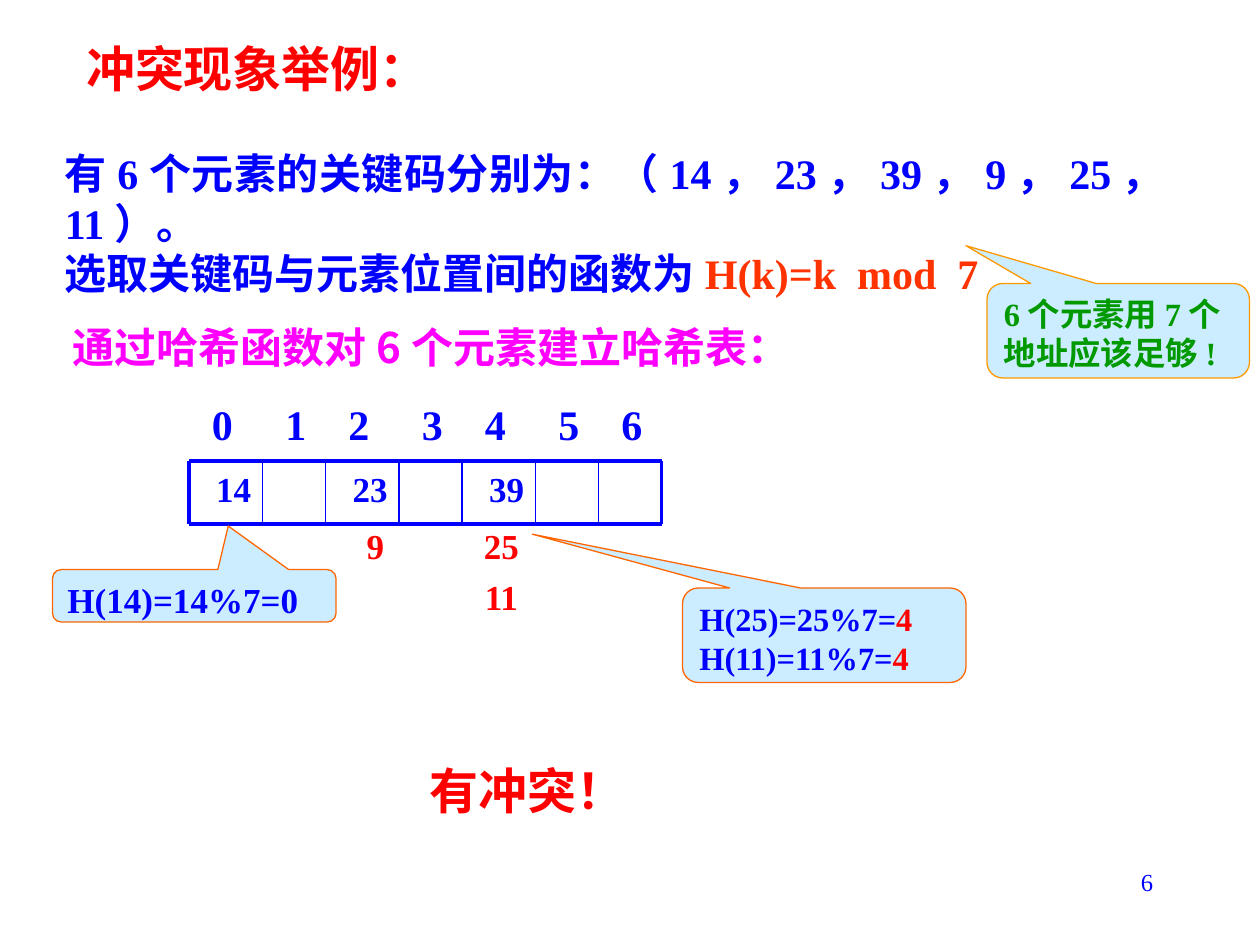
from itertools import accumulate

from lxml.etree import SubElement
from pptx import Presentation
from pptx.dml.color import RGBColor
from pptx.enum.shapes import MSO_CONNECTOR, MSO_SHAPE
from pptx.enum.text import MSO_ANCHOR, MSO_AUTO_SIZE, PP_ALIGN as Align
from pptx.oxml.ns import qn
from pptx.util import Pt

COLORS = {
    "blue": "0000FF", "red": "FF0000", "vermilion": "FF3300",
    "magenta": "FF00FF", "green": "009900", "sky": "CCECFF",
    "amber": "FF9900", "orange": "FF6600",
}
SERIF, CJK = "Times New Roman", "Noto Sans CJK SC"

# Each paragraph is a list of (text, colour, Latin font) runs.
TITLE = [[("冲突现象举例：", "red", SERIF)]]
QUESTION = [
    [("有6", "blue", SERIF), ("个元素的关键码分别为：（", "blue", CJK),
     ("14，23，39，9，25，11）。", "blue", SERIF)],
    [("选取关键码与元素位置间的函数为", "blue", CJK),
     ("H(k)=k  mod  7", "vermilion", SERIF)],
]
TASK = [[("通过哈希函数对6个元素建立哈希表：", "magenta", CJK)]]
CONCLUSION = [[("有冲突！", "red", SERIF)]]
PAGE_NUMBER = [[("6", "blue", SERIF)]]

# Table cells and the keys hashed into them: (key, colour, left, top)
CELL_WIDTHS = [42, 36, 42, 36, 42, 36, 36]
TABLE_LEFT, TABLE_TOP, TABLE_BOTTOM = 108, 263.5, 299.5
KEYS = [
    ("14", "blue", 114, 263.5), ("23", "blue", 192, 263.5),
    ("39", "blue", 270, 263.5), ("9", "red", 195, 296),
    ("25", "red", 267, 296), ("11", "red", 267, 325.5),
]

# (box, tip offset as a share of the box, outline, text size, paragraphs)
CALLOUTS = [
    ((564, 162, 150, 54), (-0.58, -0.9), "amber", 18.5,
     [[("6个元素用7个", "green", SERIF)], [("地址应该足够!", "green", SERIF)]]),
    ((30, 325.5, 162, 30), (0.12, -1.33), "orange", 20,
     [[("H(14)=14%7=0", "blue", SERIF)]]),
    ((390, 336, 162, 54), (-1.03, -1.07), "orange", 18.5,
     [[("H(25)=25%7=", "blue", SERIF), ("4", "red", SERIF)],
      [("H(11)=11%7=", "blue", SERIF), ("4", "red", SERIF)]]),
]


def rgb(name):
    return RGBColor.from_string(COLORS[name])


def write(frame, paragraphs, size, align=Align.LEFT, bold=True):
    frame.word_wrap = True
    for index, runs in enumerate(paragraphs):
        paragraph = frame.add_paragraph() if index else frame.paragraphs[0]
        paragraph.alignment = align
        for text, color, font_name in runs:
            run = paragraph.add_run()
            run.text = text
            font = run.font
            font.size, font.bold, font.name = Pt(size), bold, font_name
            font.color.rgb = rgb(color)
            SubElement(run._r.get_or_add_rPr(), qn("a:ea"), typeface=CJK)


def add_text(slide, box, paragraphs, size, align=Align.LEFT, bold=True):
    frame = slide.shapes.add_textbox(*map(Pt, box)).text_frame
    write(frame, paragraphs, size, align, bold)
    return frame


def add_line(slide, start, end, width):
    line = slide.shapes.add_connector(
        MSO_CONNECTOR.STRAIGHT, *map(Pt, (*start, *end)))
    line.line.color.rgb = rgb("blue")
    line.line.width = Pt(width)
    SubElement(line._element.spPr, qn("a:effectLst"))


def add_hash_table(slide):
    edges = list(accumulate(CELL_WIDTHS, initial=TABLE_LEFT))
    for x in edges:
        outer = x in (edges[0], edges[-1])
        add_line(slide, (x, TABLE_TOP), (x, TABLE_BOTTOM), 2.25 if outer else 1)
    for y in (TABLE_TOP, TABLE_BOTTOM):
        add_line(slide, (edges[0], y), (edges[-1], y), 2.25)

    addresses = "\t".join(str(i) for i in range(len(CELL_WIDTHS)))
    header = add_text(slide, (TABLE_LEFT, 224, 276, 36),
                      [[(addresses, "blue", SERIF)]], 24)
    header.margin_left = Pt(13)
    tabs = SubElement(header.paragraphs[0]._p.get_or_add_pPr(), qn("a:tabLst"))
    for x in edges[1:-1]:
        SubElement(tabs, qn("a:tab"), pos=str(Pt(x - TABLE_LEFT)), algn="l")

    for key, color, left, top in KEYS:
        add_text(slide, (left, top, 39, 34), [[(key, color, SERIF)]], 20,
                 Align.CENTER)


def add_callout(slide, box, tip, outline, size, paragraphs):
    callout = slide.shapes.add_shape(
        MSO_SHAPE.ROUNDED_RECTANGULAR_CALLOUT, *map(Pt, box))
    callout.shadow.inherit = False
    callout.adjustments[0], callout.adjustments[1] = tip
    callout.fill.solid()
    callout.fill.fore_color.rgb = rgb("sky")
    callout.line.color.rgb = rgb(outline)
    callout.line.width = Pt(0.75)
    callout.text_frame.vertical_anchor = MSO_ANCHOR.TOP
    write(callout.text_frame, paragraphs, size)


def main():
    deck = Presentation()
    deck.slide_width, deck.slide_height = Pt(720), Pt(540)
    slide = deck.slides.add_slide(deck.slide_layouts[5])

    title = slide.shapes.title
    title.left, title.top, title.width, title.height = map(Pt, (42, 18, 246, 42))
    title.text_frame.auto_size = MSO_AUTO_SIZE.NONE
    title.text_frame.vertical_anchor = MSO_ANCHOR.MIDDLE
    write(title.text_frame, TITLE, 28)

    add_text(slide, (30, 80.5, 648, 94), QUESTION, 24, Align.JUSTIFY)
    add_text(slide, (34.5, 180, 440, 36), TASK, 24)
    add_hash_table(slide)
    for callout in CALLOUTS:
        add_callout(slide, *callout)
    conclusion = add_text(slide, (150.5, 417.5, 302, 55), CONCLUSION, 28,
                          Align.CENTER)
    conclusion.paragraphs[0].line_spacing = 1.4
    add_text(slide, (516, 492, 150, 36), PAGE_NUMBER, 14, Align.RIGHT, bold=False)

    deck.save("out.pptx")


if __name__ == "__main__":
    main()
